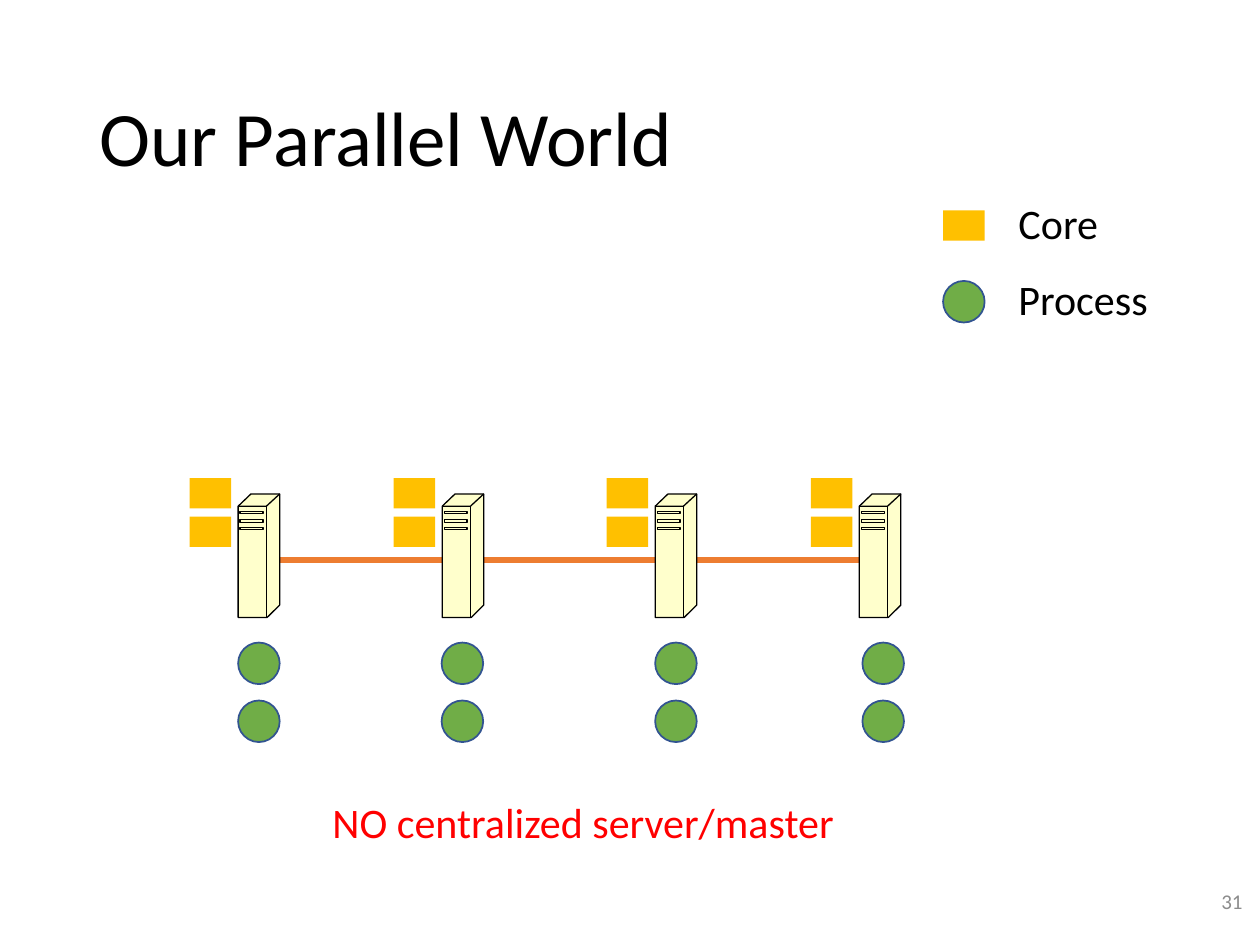
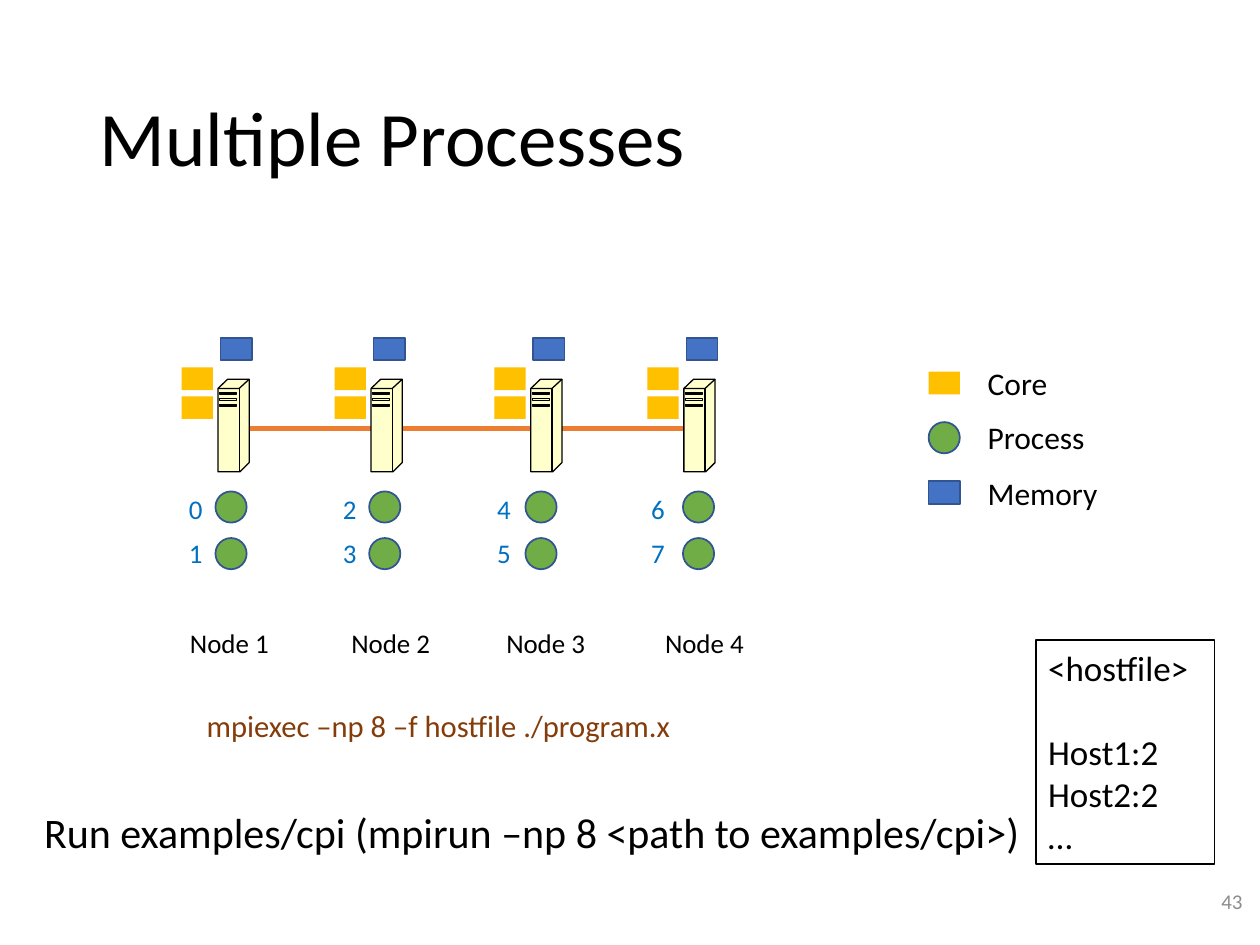
from dataclasses import dataclass
from typing import Any, NamedTuple

from lxml import etree
from pptx import Presentation
from pptx.dml.color import RGBColor
from pptx.enum.shapes import MSO_CONNECTOR, MSO_SHAPE
from pptx.enum.text import MSO_ANCHOR, PP_ALIGN
from pptx.oxml.ns import qn
from pptx.util import Inches, Pt

RECTANGLE, OVAL = MSO_SHAPE.RECTANGLE, MSO_SHAPE.OVAL
STRAIGHT = MSO_CONNECTOR.STRAIGHT
TOP, MIDDLE = MSO_ANCHOR.TOP, MSO_ANCHOR.MIDDLE
LEFT, CENTER, RIGHT = PP_ALIGN.LEFT, PP_ALIGN.CENTER, PP_ALIGN.RIGHT

# The slide is a grid of 100 columns by 75 rows with square cells
COLUMNS, ROWS = 100, 75
CELL = Inches(0.1)

FONT = "Calibri"
BLACK, WHITE, RED, GRAY = "000000", "FFFFFF", "FF0000", "8C8C8C"
BROWN, RANK_BLUE = "843C0B", "0070C0"
CORE_YELLOW, PROCESS_GREEN, MEMORY_BLUE = "FFC000", "70AD47", "4472C4"
OUTLINE_BLUE, SERVER_CREAM, NETWORK_ORANGE = "325491", "FFFFCC", "ED7D31"


class Box(NamedTuple):
    column: float
    row: float
    columns: float
    rows: float


class Marker(NamedTuple):
    """A symbol used in the cluster and its legend, at full scale."""
    name: str
    preset: Any
    columns: float
    rows: float
    fill: str
    outline: str | None


class LegendItem(NamedTuple):
    marker: Marker
    marker_row: float
    label_row: float


@dataclass
class Legend:
    marker_column: float
    label_column: float
    label_columns: float
    label_rows: float
    size: float
    items: list[LegendItem]


@dataclass
class Cluster:
    column: float
    row: float
    scale: float
    process_columns: list[float]
    process_rows: list[float]


CORE = Marker("Core", RECTANGLE, 3.3, 2.4, CORE_YELLOW, None)
PROCESS = Marker("Process", OVAL, 3.3, 3.3, PROCESS_GREEN, OUTLINE_BLUE)
MEMORY = Marker("Memory", RECTANGLE, 3.3, 2.4, MEMORY_BLUE, OUTLINE_BLUE)

TITLE_BOX = Box(6.9, 4, 86.2, 14.5)
NUMBER_BOX = Box(77.1, 69.5, 22.5, 4)

# Server sizes and offsets in cells at full scale
SERVER_COLUMNS, SERVER_ROWS = 3.3, 9.8
SERVER_OFFSETS = [0, 16.2, 33.1, 49.3]
CORE_OFFSET = -3.85
CORE_ROWS = [-1.25, 1.8]
NETWORK_ROW = 5.25

# Server outline and details as shares of the server's size
SERVER_BODY = [(0, 0.1), (0.31, 0), (1, 0), (1, 0.9), (0.7, 1), (0, 1)]
SERVER_EDGES = [[(0, 0.1), (0.68, 0.1), (1, 0)], [(0.68, 0.1), (0.68, 1)]]
SERVER_SLOTS = [
    [(0.05, top), (0.6, top), (0.6, top + 0.02), (0.05, top + 0.02), (0.05, top)]
    for top in (0.14, 0.21, 0.27)
]


def cells(count: float) -> int:
    return round(count * CELL)


def color(value: str) -> RGBColor:
    return RGBColor.from_string(value)


def set_values(target: Any, values: dict[str, Any]) -> None:
    for name, value in values.items():
        setattr(target, name, value)


def paint(shape: Any, fill: str | None, outline: str | None, width: float = 1) -> None:
    shape.shadow.inherit = False
    if fill:
        shape.fill.solid()
        shape.fill.fore_color.rgb = color(fill)
    else:
        shape.fill.background()
    if outline:
        shape.line.color.rgb = color(outline)
        shape.line.width = Pt(width)
    else:
        shape.line.fill.background()


def write(shape: Any, lines: list[str], size: float, ink: str, wrap: bool = True,
          anchor: Any = TOP, **paragraph_format: Any) -> None:
    frame = shape.text_frame
    set_values(frame, {"word_wrap": wrap, "vertical_anchor": anchor})
    for index, line in enumerate(lines):
        paragraph = frame.paragraphs[0] if index == 0 else frame.add_paragraph()
        set_values(paragraph, {"alignment": LEFT} | paragraph_format)
        run = paragraph.add_run()
        run.text = line
        set_values(run.font, {"name": FONT, "size": Pt(size)})
        run.font.color.rgb = color(ink)


def add_text(slide: Any, box: Box, text: str, size: float, ink: str = BLACK,
             **text_format: Any) -> Any:
    shape = slide.shapes.add_textbox(*map(cells, box))
    write(shape, [text], size, ink, **text_format)
    return shape


def add_marker(slide: Any, marker: Marker, column: float, row: float, scale: float) -> None:
    box = Box(column, row, marker.columns * scale, marker.rows * scale)
    shape = slide.shapes.add_shape(marker.preset, *map(cells, box))
    paint(shape, marker.fill, marker.outline)


def add_outline(slide: Any, box: Box, contours: list[list[tuple[float, float]]],
                fill: str | None) -> None:
    """Draw contours given in shares of the box; filled ones are closed."""
    placed = [
        [(cells(box.column + x * box.columns), cells(box.row + y * box.rows))
         for x, y in contour]
        for contour in contours
    ]
    builder = slide.shapes.build_freeform(*placed[0][0])
    for index, (start, *others) in enumerate(placed):
        if index:
            builder.move_to(*start)
        builder.add_line_segments(others, close=fill is not None)
    paint(builder.convert_to_shape(), fill, BLACK, 0.75)


def add_network(slide: Any, left: float, right: float, row: float) -> None:
    connector = slide.shapes.add_connector(
        STRAIGHT, cells(left), cells(row), cells(right), cells(row))
    connector.line.color.rgb = color(NETWORK_ORANGE)
    connector.line.width = Pt(3)
    etree.SubElement(connector._element.spPr, qn("a:effectLst"))


def add_cluster(slide: Any, cluster: Cluster) -> list[float]:
    """Draw the linked servers and return their left columns."""
    scale = cluster.scale
    columns, rows = SERVER_COLUMNS * scale, SERVER_ROWS * scale
    server_columns = [cluster.column + offset * scale for offset in SERVER_OFFSETS]
    add_network(slide, server_columns[0], server_columns[-1] + columns,
                cluster.row + NETWORK_ROW * scale)
    for server_column, process_column in zip(server_columns, cluster.process_columns):
        box = Box(server_column, cluster.row, columns, rows)
        add_outline(slide, box, [SERVER_BODY], SERVER_CREAM)
        add_outline(slide, box, SERVER_EDGES + SERVER_SLOTS, None)
        for core_row in CORE_ROWS:
            add_marker(slide, CORE, server_column + CORE_OFFSET * scale,
                       cluster.row + core_row * scale, scale)
        for process_row in cluster.process_rows:
            add_marker(slide, PROCESS, process_column, process_row, scale)
    return server_columns


def add_legend(slide: Any, legend: Legend, scale: float) -> None:
    for item in legend.items:
        add_marker(slide, item.marker, legend.marker_column, item.marker_row, scale)
        box = Box(legend.label_column, item.label_row,
                  legend.label_columns, legend.label_rows)
        add_text(slide, box, item.marker.name, legend.size)


def add_slide(presentation: Any, title: str, number: int) -> Any:
    slide = presentation.slides.add_slide(presentation.slide_layouts[6])
    add_text(slide, TITLE_BOX, title, 44, anchor=MIDDLE, line_spacing=0.9)
    add_text(slide, NUMBER_BOX, str(number), 12, GRAY, anchor=MIDDLE, alignment=RIGHT)
    return slide


def build_parallel_world(presentation: Any) -> None:
    slide = add_slide(presentation, "Our Parallel World", 31)
    cluster = Cluster(18.9, 39.2, 1, [18.9, 35.05, 52, 68.45], [51, 55.6])
    add_cluster(slide, cluster)
    legend = Legend(74.85, 79.85, 13.7, 5, 24, [
        LegendItem(CORE, 16.7, 15.2),
        LegendItem(PROCESS, 22.3, 21.2),
    ])
    add_legend(slide, legend, cluster.scale)
    add_text(slide, Box(25.4, 62.7, 42.2, 9.1), "NO centralized server/master",
             24, RED, wrap=False)


def build_multiple_processes(presentation: Any) -> None:
    slide = add_slide(presentation, "Multiple Processes", 43)
    cluster = Cluster(17.3, 30.1, 0.75, [17.1, 29.3, 41.7, 54.2], [39, 42.7])
    for server_column in add_cluster(slide, cluster):
        add_marker(slide, MEMORY, server_column + 0.2, 26.8, cluster.scale)
    legend = Legend(73.7, 77.4, 13.2, 4, 18, [
        LegendItem(CORE, 29.5, 28.4),
        LegendItem(PROCESS, 33.5, 32.7),
        LegendItem(MEMORY, 38.2, 37.1),
    ])
    add_legend(slide, legend, cluster.scale)

    # Node names and process ranks
    for node, node_column in enumerate([14.1, 26.9, 39.2, 51.8]):
        add_text(slide, Box(node_column, 49.2, 8.3, 3.6), f"Node {node + 1}",
                 15.4, wrap=False)
        for index, rank_row in enumerate([38.6, 42.1]):
            add_text(slide, Box(14 + 12.23 * node, rank_row, 3.1, 3.6),
                     str(2 * node + index), 15.4, RANK_BLUE, wrap=False)

    # Commands
    command = add_text(slide, Box(14.8, 56.4, 44.5, 4.7),
                       "mpiexec –np 8 –f hostfile ./program.x",
                       17.5, BROWN, line_spacing=0.7)
    command.text_frame.margin_left = cells(1.6)

    # Host file, with a one-line gap below its heading
    host_file = slide.shapes.add_shape(RECTANGLE, *map(cells, Box(82.2, 50.8, 14.2, 17.8)))
    paint(host_file, WHITE, BLACK)
    write(host_file, ["<hostfile>", "Host1:2", "Host2:2", "…"], 20, BLACK)
    host_file.text_frame.paragraphs[1].space_before = Pt(24)

    add_text(slide, Box(2.1, 64, 80.2, 4.6),
             "Run examples/cpi (mpirun –np 8 <path to examples/cpi>)",
             24, alignment=CENTER, line_spacing=0.9)


def main() -> None:
    presentation = Presentation()
    set_values(presentation, {"slide_width": cells(COLUMNS), "slide_height": cells(ROWS)})
    build_parallel_world(presentation)
    build_multiple_processes(presentation)
    presentation.save("out.pptx")


if __name__ == "__main__":
    main()
